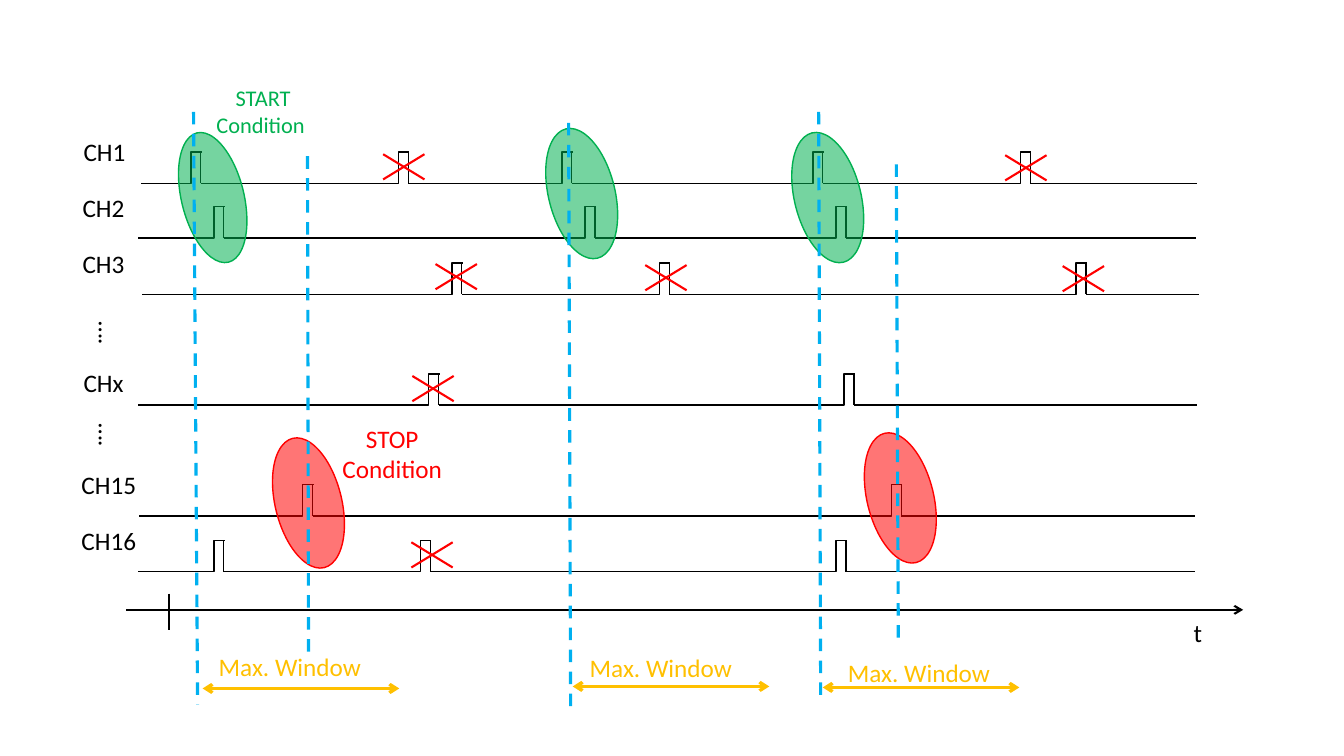
from dataclasses import dataclass

from lxml import etree
from pptx import Presentation
from pptx import util as u
from pptx.dml.color import RGBColor
from pptx.enum import dml, shapes, text
from pptx.oxml.ns import qn

COLORS = {
    "ink": "000000",
    "start": "00B050",
    "stop": "FF0000",
    "marker": "00B0F0",
    "window": "FFC000",
}
FONT = "Calibri"
PULSE_HEIGHT = 0.31
PULSE_WIDTH = 0.1
LEAD_IN = 0.49
ELBOW_WIDTH = 0.6
ELBOW_BEND = 82200


@dataclass
class Channel:
    name: str
    label_left: float
    label_top: float
    label_width: float
    base: float
    start: float
    end: float
    pulses: tuple[float, ...]


@dataclass
class Condition:
    left: float
    top: float
    width: float
    color: str


@dataclass
class Marker:
    x1: float
    y1: float
    x2: float
    y2: float


@dataclass
class Window:
    left: float
    y: float
    label_left: float
    label_top: float


CHANNELS = [
    Channel("CH1", 0.73, 1.3, 0.62, 1.82, 1.4, 11.87, (1.89, 3.95, 5.57, 8.06, 10.12)),
    Channel("CH2", 0.72, 1.86, 0.62, 2.36, 1.37, 11.86, (2.12, 5.8, 8.29)),
    Channel("CH3", 0.72, 2.41, 0.62, 2.92, 1.41, 11.89, (4.48, 6.54, 10.67)),
    Channel("CHx", 0.73, 3.59, 0.62, 4.02, 1.37, 11.87, (4.25, 8.37)),
    Channel("CH15", 0.71, 4.61, 0.75, 5.12, 1.38, 11.85, (3.0, 8.84)),
    Channel("CH16", 0.71, 5.16, 0.75, 5.67, 1.37, 11.85, (2.12, 4.17, 8.29)),
]
CONDITIONS = [
    Condition(1.8, 1.3, 0.62, "start"),
    Condition(5.44, 1.26, 0.66, "start"),
    Condition(7.88, 1.3, 0.66, "start"),
    Condition(2.73, 4.33, 0.66, "stop"),
    Condition(8.6, 4.28, 0.66, "stop"),
]
CROSSES = [
    (3.8, 1.53), (4.32, 2.62), (4.09, 3.73), (4.08, 5.38),
    (9.97, 1.54), (10.54, 2.64), (6.4, 2.63),
]
MARKERS = [
    Marker(1.92, 1.11, 1.96, 6.99),
    Marker(3.05, 1.55, 3.06, 6.47),
    Marker(5.64, 1.22, 5.66, 7.09),
    Marker(8.12, 1.11, 8.14, 6.98),
    Marker(8.89, 1.63, 8.91, 6.41),
]
WINDOWS = [
    Window(2.01, 6.83, 2.07, 6.41),
    Window(5.68, 6.81, 5.75, 6.42),
    Window(8.16, 6.82, 8.31, 6.47),
]


def rgb(name: str) -> RGBColor:
    return RGBColor.from_string(COLORS[name])


def add_text(slide, content: str, left: float, top: float, width: float,
             height: float = 0.4, *, size: float = 18, color: str = "ink",
             align=text.PP_ALIGN.LEFT, rotation: float = 0):
    sp = slide.shapes.add_textbox(*map(u.Inches, (left, top, width, height)))
    sp.rotation = rotation
    tf = sp.text_frame
    tf.word_wrap = False
    tf.auto_size = text.MSO_AUTO_SIZE.SHAPE_TO_FIT_TEXT
    for i, line in enumerate(content.split("\n")):
        p = tf.paragraphs[0] if i == 0 else tf.add_paragraph()
        p.alignment = align
        r = p.add_run()
        r.text = line
        r.font.size = u.Pt(size)
        r.font.name = FONT
        r.font.color.rgb = rgb(color)
    return sp


def add_line(slide, x1: float, y1: float, x2: float, y2: float, *,
             color: str = "ink", width: float = 1, dash: bool = False,
             heads: tuple[str, ...] = (), kind=shapes.MSO_CONNECTOR.STRAIGHT):
    cxn = slide.shapes.add_connector(kind, *map(u.Inches, (x1, y1, x2, y2)))
    cxn.line.color.rgb = rgb(color)
    cxn.line.width = u.Pt(width)
    if dash:
        cxn.line.dash_style = dml.MSO_LINE.DASH
    sp_pr = cxn._element.spPr
    for head in heads:
        etree.SubElement(sp_pr.find(qn("a:ln")), qn(f"a:{head}"), type="arrow")
    etree.SubElement(sp_pr, qn("a:effectLst"))
    return cxn


def add_channel(slide, ch: Channel) -> None:
    add_text(slide, ch.name, ch.label_left, ch.label_top, ch.label_width)
    top = ch.base - PULSE_HEIGHT
    x = ch.start
    for rise in ch.pulses:
        foot = rise - LEAD_IN
        fall = rise + PULSE_WIDTH
        if foot - x > 0.01:
            add_line(slide, x, ch.base, foot, ch.base)
        elbow = add_line(slide, foot, ch.base, foot + ELBOW_WIDTH, top,
                         kind=shapes.MSO_CONNECTOR.ELBOW)
        guides = elbow._element.spPr.find(qn("a:prstGeom")).get_or_add_avLst()
        etree.SubElement(guides, qn("a:gd"), name="adj1", fmla=f"val {ELBOW_BEND}")
        add_line(slide, fall, top, fall, ch.base)
        x = fall
    add_line(slide, x, ch.base, ch.end, ch.base)


def add_condition(slide, c: Condition) -> None:
    sp = slide.shapes.add_shape(shapes.MSO_SHAPE.OVAL,
                                *map(u.Inches, (c.left, c.top, c.width, 1.32)))
    sp.rotation = 346.3
    sp.shadow.inherit = False
    sp.fill.solid()
    sp.fill.fore_color.rgb = rgb(c.color)
    fill = sp._element.spPr.find(qn("a:solidFill"))
    etree.SubElement(fill[0], qn("a:alpha"), val="54000")
    sp.line.color.rgb = rgb(c.color)
    sp.line.width = u.Pt(1)


def add_cross(slide, left: float, top: float) -> None:
    right, bottom = left + 0.41, top + 0.25
    add_line(slide, left, bottom, right, top, color="stop", width=1.5)
    add_line(slide, right, bottom, left, top, color="stop", width=1.5)


def main() -> None:
    prs = Presentation()
    prs.slide_width, prs.slide_height = u.Inches(13.33), u.Inches(7.5)
    s = prs.slides.add_slide(prs.slide_layouts[6])

    add_text(s, "START\nCondition ", 2.04, 0.79, 1.14, 0.64, size=16,
             color="start", align=text.PP_ALIGN.CENTER)
    add_text(s, "STOP\nCondition", 3.29, 4.15, 1.2, 0.71,
             color="stop", align=text.PP_ALIGN.CENTER)
    add_line(s, 1.25, 6.05, 12.33, 6.05, width=1.5, heads=("tailEnd",))
    add_line(s, 1.68, 5.89, 1.68, 6.25, width=1.5)
    add_text(s, "t", 11.74, 6.08, 0.29)

    for channel in CHANNELS:
        add_channel(s, channel)
    for top in (3.11, 4.12):
        add_text(s, "….", 0.86, top, 0.44, rotation=90)
    for condition in CONDITIONS:
        add_condition(s, condition)
    for left, top in CROSSES:
        add_cross(s, left, top)
    for m in MARKERS:
        add_line(s, m.x1, m.y1, m.x2, m.y2, color="marker", width=2.25, dash=True)
    for w in WINDOWS:
        add_text(s, "Max. Window", w.label_left, w.label_top, 1.69, color="window")
        add_line(s, w.left, w.y, w.left + 1.95, w.y, color="window", width=2.25,
                 heads=("headEnd", "tailEnd"))

    prs.save("out.pptx")


if __name__ == "__main__":
    main()
